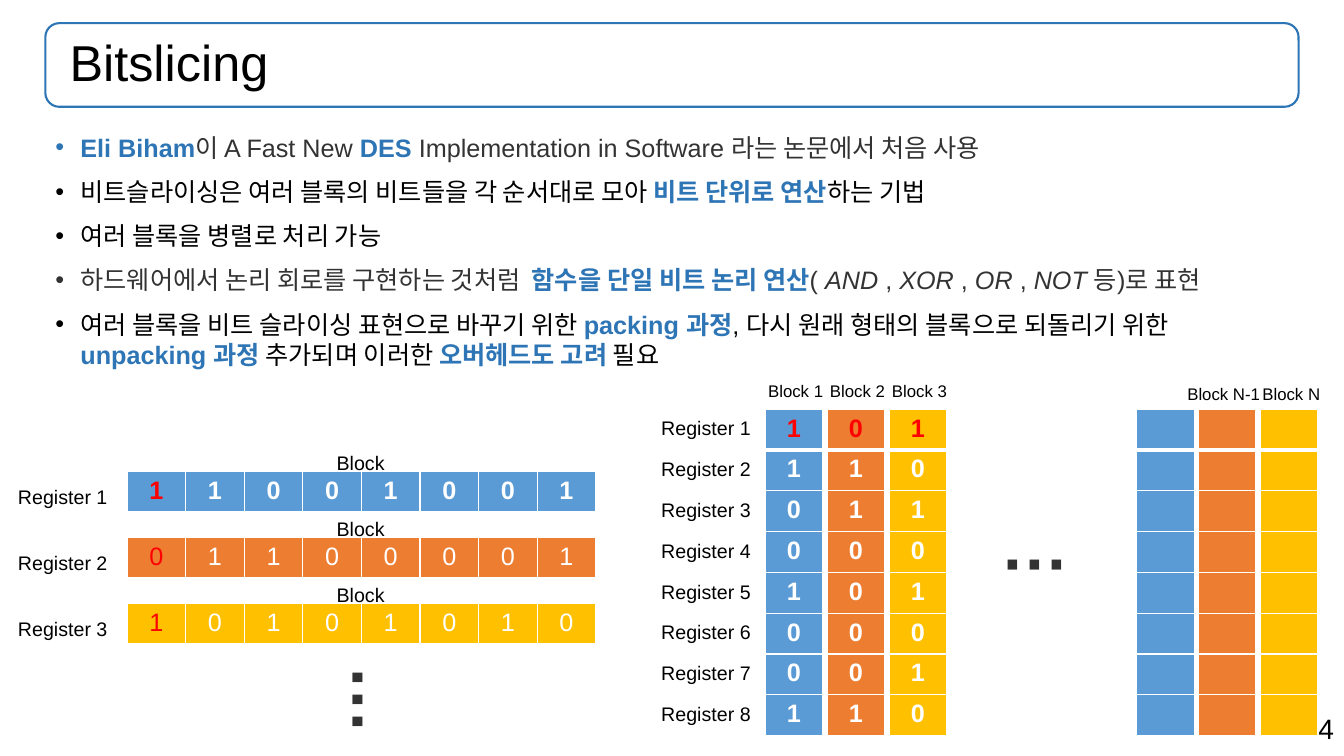
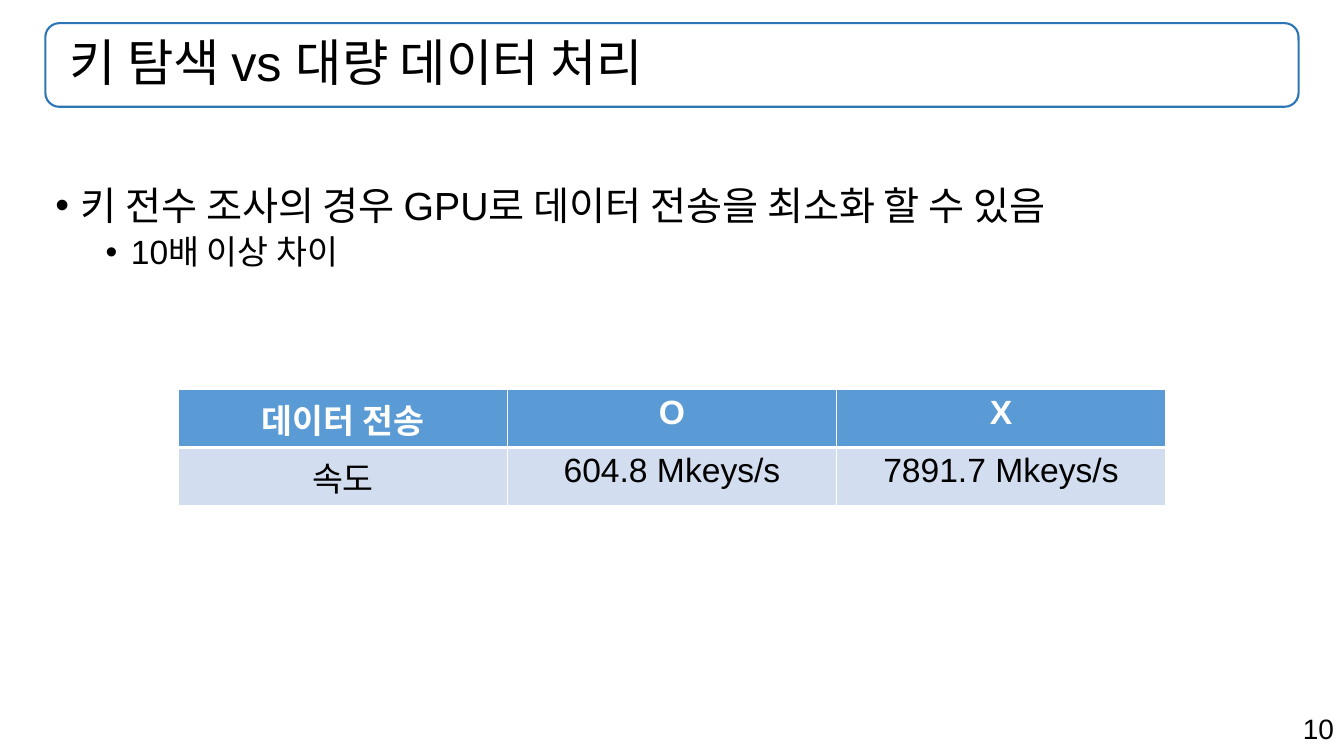
from dataclasses import dataclass
from lxml.etree import SubElement
from pptx import Presentation
from pptx.dml.color import RGBColor
from pptx.enum.shapes import MSO_SHAPE
from pptx.enum.text import MSO_ANCHOR, PP_ALIGN
from pptx.oxml.ns import qn
from pptx.util import Inches, Pt


@dataclass(frozen=True)
class Theme:
    font: str = "Arial"
    ink: str = "000000"
    gray: str = "333333"
    navy: str = "2E75B6"
    red: str = "FF0000"
    white: str = "FFFFFF"
    pale: str = "D2DEEF"
    hues: tuple = ("5B9BD5", "ED7D31", "FFC000")
    title: int = 36
    lead: int = 28
    sub: int = 24
    page: int = 20
    body: int = 18
    label: int = 14
    small: int = 12
    dots: int = 48


T = Theme()
COLS, ROWS = 133.3, 75
BODY = (4.5, 12.6, 124.3, 61.3)


def cells(*spans):
    return [Inches(span / 10) for span in spans]


def color(code):
    return RGBColor.from_string(code)


def add_run(para, text, size, code=T.ink, style=""):
    run = para.add_run()
    run.text = text
    font = run.font
    font.name, font.size = T.font, Pt(size)
    font.bold, font.italic = "b" in style, "i" in style
    font.color.rgb = color(code)


def add_text(slide, box, text, size, code=T.ink, style="", wrap=True, align=PP_ALIGN.LEFT):
    shape = slide.shapes.add_textbox(*cells(*box))
    shape.text_frame.word_wrap = wrap
    para = shape.text_frame.paragraphs[0]
    para.alignment = align
    add_run(para, text, size, code, style)
    return shape


def add_frame(slide, title, page):
    band = slide.shapes.add_shape(MSO_SHAPE.ROUNDED_RECTANGLE, *cells(4.5, 2.3, 124.3, 8.3))
    band.shadow.inherit = False
    band.fill.background()
    band.line.color.rgb = color(T.navy)
    band.line.width = Pt(1.5)
    frame = band.text_frame
    frame.word_wrap = True
    frame.vertical_anchor = MSO_ANCHOR.MIDDLE
    frame.margin_left = Inches(0.2)
    para = frame.paragraphs[0]
    para.alignment = PP_ALIGN.LEFT
    para.line_spacing = 0.9
    add_run(para, title, T.title)
    add_text(slide, (COLS - 39, 70.1, 39, 4.4), str(page), T.page, align=PP_ALIGN.RIGHT)


def add_list(slide, box, items, pitch):
    frame = slide.shapes.add_textbox(*cells(*box)).text_frame
    frame.word_wrap = True
    for i, (level, size, runs) in enumerate(items):
        para = frame.add_paragraph() if i else frame.paragraphs[0]
        props = para._p.get_or_add_pPr()
        props.set("marL", str(Inches(0.25 + 0.5 * level)))
        props.set("indent", str(Inches(-0.25)))
        SubElement(props, qn("a:buFont"), typeface=T.font)
        SubElement(props, qn("a:buChar"), char="•")
        para.level = level
        para.line_spacing = pitch
        if i:
            para.space_before = Pt(5 if level else 10)
        for run in runs:
            add_run(para, run[0], size, *run[1:])


def add_edges(cell, base):
    props = cell._tc.get_or_add_tcPr()
    for side in ("lnL", "lnR", "lnT", "lnB"):
        width = base if side == "lnB" else 1
        line = SubElement(props, qn("a:" + side), w=str(Pt(width)))
        fill = SubElement(line, qn("a:solidFill"))
        SubElement(fill, qn("a:srgbClr"), val=T.white)


def add_grid(slide, box, rows, look, size):
    left, top, width, height = cells(*box)
    table = slide.shapes.add_table(len(rows), len(rows[0]), left, top, width, height).table
    table.first_row = table.horz_banding = False
    for r, row in enumerate(rows):
        for c, text in enumerate(row):
            cell = table.cell(r, c)
            fill, code, style = look(r, c)
            add_edges(cell, 1 if r else 3)
            cell.fill.solid()
            cell.fill.fore_color.rgb = color(fill)
            para = cell.text_frame.paragraphs[0]
            para.alignment = PP_ALIGN.CENTER
            if text:
                add_run(para, text, size, code, style)
            else:
                para.font.size = Pt(size)


def add_rows(slide, box, blocks):
    left, top, width, pitch = box
    for i, (bits, hue) in enumerate(zip(blocks, T.hues)):
        def look(r, c):
            return hue, T.white if c else T.red, "" if i else "b"

        y = top + i * pitch
        add_grid(slide, (left + 11.8, y, width - 11.8, 4.1), [bits], look, T.body)
        add_text(slide, (left, y + 0.8, 10.9, 3.4), f"Register {i + 1}", T.label, wrap=False)
        add_text(slide, (left + 31.6, y - 2.6, 6.8, 3.4), "Block", T.label, wrap=False)
    dots = add_text(slide, (left + 30.1, top + 18.9, 9.9, 9.1), "···", T.dots, T.gray, "b")
    dots.rotation = 90


def add_slices(slide, box, blocks):
    left, top, pitch, height = box
    start = left + 11.3
    for i in range(8):
        y = top + 0.2 + i * height / 8
        add_text(slide, (left, y, 10.9, 3.4), f"Register {i + 1}", T.label, wrap=False)
    names = ["Block 1", "Block 2", "Block 3", "", "Block N-1", "Block N"]
    shifts = [0.7, 0.7, 0.7, 0, 2.1, 0.8]
    bits = [*blocks, *[[""] * 8] * 3]
    for i, (name, shift, column) in enumerate(zip(names, shifts, bits)):
        hue = T.hues[i % 3]

        def look(r, c):
            return hue, T.white if r else T.red, "b"

        x = start + pitch * (i if i < 3 else i + 3)
        add_grid(slide, (x, top, 5.7, height), [[bit] for bit in column], look, T.body)
        if name:
            rise = 3.3 if i < 3 else 3
            add_text(slide, (x - shift, top - rise, 10 if i == 4 else 8.3, 3), name, T.small)
    add_text(slide, (start + 22.6, top + 10.5, 9.9, 9.1), "···", T.dots, T.gray, "b")


def make_slicing(slide):
    add_frame(slide, "Bitslicing", 4)
    key = (T.navy, "b")
    gray, slant = (T.gray,), (T.gray, "i")
    lines = [
        [("Eli Biham", *key), ("이 A Fast New ", *gray), ("DES", *key),
         (" Implementation in Software 라는 논문에서 처음 사용", *gray)],
        [("비트슬라이싱은 여러 블록의 비트들을 각 순서대로 모아 ",),
         ("비트 단위로 연산", *key), ("하는 기법",)],
        [("여러 블록을 병렬로 처리 가능",)],
        [("하드웨어에서 논리 회로를 구현하는 것처럼  ", *gray),
         ("함수을 단일 비트 논리 연산", *key), ("( ", *gray),
         ("AND ", *slant), (", ", *gray), ("XOR ", *slant), (", ", *gray),
         ("OR ", *slant), (", ", *gray), ("NOT", *slant), (" 등)로 표현", *gray)],
        [("여러 블록을 비트 슬라이싱 표현으로 바꾸기 위한 ",), ("packing 과정", *key),
         (", 다시 원래 형태의 블록으로 되돌리기 위한 ",), ("unpacking 과정", *key),
         (" 추가되며 이러한 ",), ("오버헤드도 고려 ", *key), ("필요",)],
    ]
    add_list(slide, BODY, [(0, T.body, runs) for runs in lines], 1.0)
    blocks = ["11001001", "01100001", "10101010"]
    add_rows(slide, (0.8, 46.8, 58.3, 6.55), blocks)
    add_slices(slide, (64.6, 40.6, 6.14, 32.4), blocks)


def make_speed(slide):
    add_frame(slide, "키 탐색 vs 대량 데이터 처리", 10)
    left, top, width, height = BODY
    items = [
        (0, T.lead, [("키 전수 조사의 경우 GPU로 데이터 전송을 최소화 할 수 있음",)]),
        (1, T.sub, [("10배 이상 차이",)]),
    ]
    add_list(slide, (left, top + 5.4, width, height - 5.4), items, 0.9)

    def look(r, c):
        return (T.pale, T.ink, "") if r else (T.hues[0], T.white, "b")

    rows = [["데이터 전송", "O", "X"], ["속도", "604.8 Mkeys/s", "7891.7 Mkeys/s"]]
    add_grid(slide, (17.7, 38.6, 97.9, 11.6), rows, look, T.sub)


def main():
    deck = Presentation()
    deck.slide_width, deck.slide_height = cells(COLS, ROWS)
    for make in (make_slicing, make_speed):
        make(deck.slides.add_slide(deck.slide_layouts[6]))
    deck.save("out.pptx")


if __name__ == "__main__":
    main()
